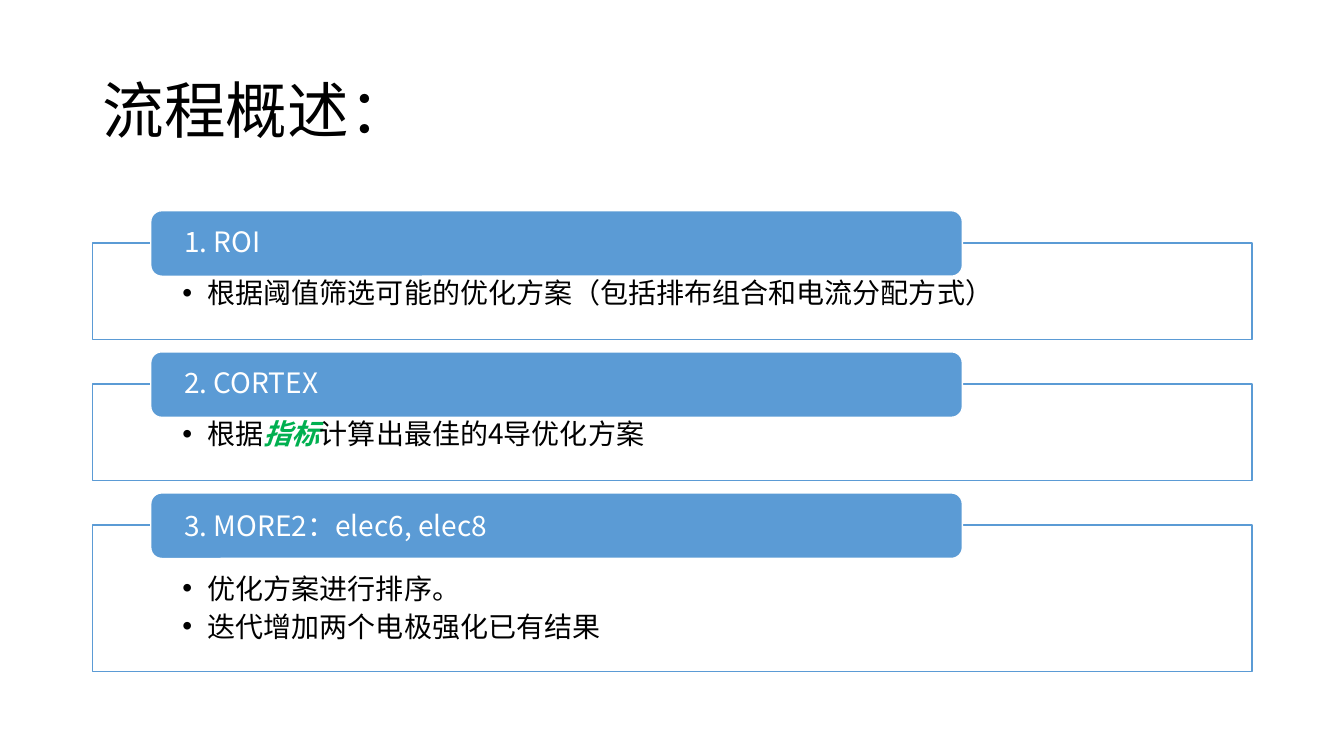
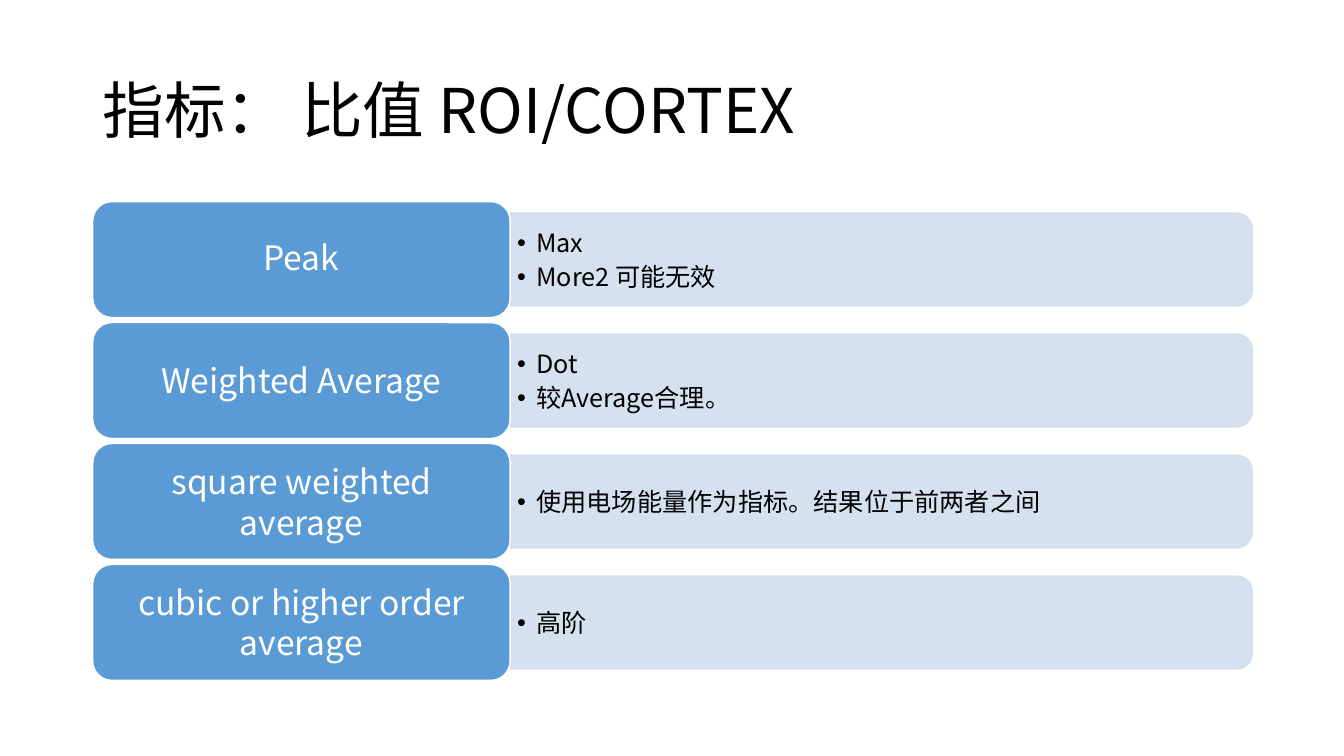
from dataclasses import dataclass

from lxml import etree
from pptx import Presentation
from pptx import util as u
from pptx.dml.color import RGBColor
from pptx.enum import shapes, text
from pptx.oxml.ns import qn


@dataclass(frozen=True)
class Theme:
    """Colours, type sizes and the font shared by the slides."""
    font: str = "Noto Sans CJK SC"
    ink: str = "000000"
    paper: str = "FFFFFF"
    accent: str = "5B9BD5"
    tint: str = "D2DEEF"
    stress: str = "00B050"
    title: int = 44
    label: int = 24
    step: int = 20
    detail: int = 18


@dataclass(frozen=True)
class Box:
    """A rectangle in inches."""
    left: float
    top: float
    width: float
    height: float

    def inset(self, gap):
        """Return the box shrunk by the gap on every side."""
        return Box(self.left + gap, self.top + gap, self.width - 2 * gap, self.height - 2 * gap)

    def emu(self):
        """Return the four lengths for python-pptx."""
        return [u.Inches(v) for v in (self.left, self.top, self.width, self.height)]


THEME = Theme()
WIDTH, HEIGHT = 13.33, 7.5
TITLE = Box(0.92, 0.4, 11.5, 1.45)
STEPS = [
    ("1. ROI", 0.96, [["根据阈值筛选可能的优化方案（包括排布组合和电流分配方式）"]], 0.9, 0.42),
    ("2. CORTEX", 0.96, [["根据", ("指标", THEME.stress), "计算出最佳的4导优化方案"]], 0.9, 0.42),
    ("3. MORE2：elec6, elec8", 1.45,
     [["优化方案进行排序。"], ["迭代增加两个电极强化已有结果"]], 1.0, 0.46),
]
METRICS = [
    ("Peak", [["Max"], ["More2 可能无效"]], 0.9),
    ("Weighted Average", [["Dot"], ["较Average合理。"]], 1.0),
    ("square weighted average", [["使用电场能量作为指标。结果位于前两者之间"]], 1.0),
    ("cubic or higher order average", [["高阶"]], 1.0),
]


def add_panel(page, kind, box, fill, line, alpha=100, turn=0):
    """Draw a filled, outlined preset shape, optionally turned and translucent."""
    panel = page.shapes.add_shape(kind, *box.emu())
    panel.shadow.inherit = False
    panel.rotation = turn
    panel.fill.solid()
    panel.fill.fore_color.rgb = RGBColor.from_string(fill)
    panel.line.color.rgb = RGBColor.from_string(line)
    panel.line.width = u.Pt(1)
    if alpha < 100:
        for colour in panel.element.spPr.iter(qn("a:srgbClr")):
            etree.SubElement(colour, qn("a:alpha"), val=str(alpha * 1000))


def add_bullet(para, indent):
    """Give a paragraph a hanging round bullet."""
    props = para._p.get_or_add_pPr()
    props.set("marL", str(u.Inches(indent)))
    props.set("indent", str(-u.Inches(indent)))
    etree.SubElement(props, qn("a:buFont"), typeface="Arial")
    etree.SubElement(props, qn("a:buChar"), char="•")


def add_span(para, wording, size, colour, strong=False):
    """Add one run in the theme font."""
    span = para.add_run()
    span.text = wording
    span.font.size = u.Pt(size)
    span.font.name = THEME.font
    span.font.bold = span.font.italic = strong
    span.font.color.rgb = RGBColor.from_string(colour)
    etree.SubElement(span._r.get_or_add_rPr(), qn("a:ea"), typeface=THEME.font)


def add_text(page, box, paras, size, colour, insets=(0.1, 0.05, 0.1, 0.05),
             anchor=text.MSO_ANCHOR.MIDDLE, align=text.PP_ALIGN.LEFT, spacing=0.9, bullet=0):
    """Place paragraphs, each a list of plain wordings or (wording, stress colour) pairs."""
    frame = page.shapes.add_textbox(*box.emu()).text_frame
    frame.word_wrap = True
    frame.vertical_anchor = anchor
    (frame.margin_left, frame.margin_top,
     frame.margin_right, frame.margin_bottom) = [u.Inches(v) for v in insets]
    for index, spans in enumerate(paras):
        para = frame.add_paragraph() if index else frame.paragraphs[0]
        para.alignment = align
        para.line_spacing = spacing
        if index:
            para.space_before = u.Pt(size * 0.15)
        if bullet:
            add_bullet(para, bullet)
        for span in spans:
            if isinstance(span, tuple):
                add_span(para, span[0], size, span[1], strong=True)
            else:
                add_span(para, span, size, colour)


def add_page(deck, title):
    """Add a blank slide with its title."""
    page = deck.slides.add_slide(deck.slide_layouts[6])
    add_text(page, TITLE, [[title]], THEME.title, THEME.ink)
    return page


def add_step(page, box, heading, paras, spacing, drop):
    """Draw an outlined box with bullets and a heading tab across its top edge."""
    kinds = shapes.MSO_SHAPE
    add_panel(page, kinds.RECTANGLE, box, THEME.paper, THEME.accent)
    add_text(page, box, paras, THEME.step, THEME.ink, (0.89, drop, 0.89, 0.1),
             text.MSO_ANCHOR.TOP, spacing=1.0, bullet=0.25)
    tab = Box(box.left + box.width * 0.05, box.top - 0.32, box.width * 0.7, 0.65)
    add_panel(page, kinds.ROUNDED_RECTANGLE, tab, THEME.accent, THEME.paper)
    add_text(page, tab.inset(0.03), [[heading]], THEME.step, THEME.paper,
             (0.3, 0, 0.3, 0), spacing=spacing)


def add_metric(page, box, label, paras, spacing):
    """Draw a label block with a tinted bar of bullets to its right."""
    kinds = shapes.MSO_SHAPE
    name = Box(box.left, box.top, box.width * 0.36, box.height)
    bar = Box(name.left + name.width, box.top + box.height * 0.1,
              box.width - name.width, box.height * 0.8)
    upright = Box(bar.left + (bar.width - bar.height) / 2, bar.top + (bar.height - bar.width) / 2,
                  bar.height, bar.width)
    add_panel(page, kinds.ROUND_2_SAME_RECTANGLE, upright, THEME.tint, THEME.tint, 90, 90)
    add_text(page, bar, paras, THEME.detail, THEME.ink, (0.07, 0.04, 0.11, 0.04),
             spacing=1.0, bullet=0.19)
    add_panel(page, kinds.ROUNDED_RECTANGLE, name, THEME.accent, THEME.paper)
    add_text(page, name.inset(0.06), [[label]], THEME.label, THEME.paper,
             align=text.PP_ALIGN.CENTER, spacing=spacing)


def build_steps(deck):
    """Build the slide of stacked steps."""
    page = add_page(deck, "流程概述：")
    top = 2.41
    for heading, height, paras, spacing, drop in STEPS:
        box = Box(TITLE.left, top, TITLE.width, height)
        add_step(page, box, heading, paras, spacing, drop)
        top += height + 0.44


def build_metrics(deck):
    """Build the slide of metric rows."""
    page = add_page(deck, "指标： 比值 ROI/CORTEX")
    for row, (label, paras, spacing) in enumerate(METRICS):
        box = Box(TITLE.left, 2 + row * 1.2, TITLE.width, 1.15)
        add_metric(page, box, label, paras, spacing)


def main():
    """Build and save the deck."""
    deck = Presentation()
    deck.slide_width, deck.slide_height = u.Inches(WIDTH), u.Inches(HEIGHT)
    build_steps(deck)
    build_metrics(deck)
    deck.save("out.pptx")


if __name__ == "__main__":
    main()
